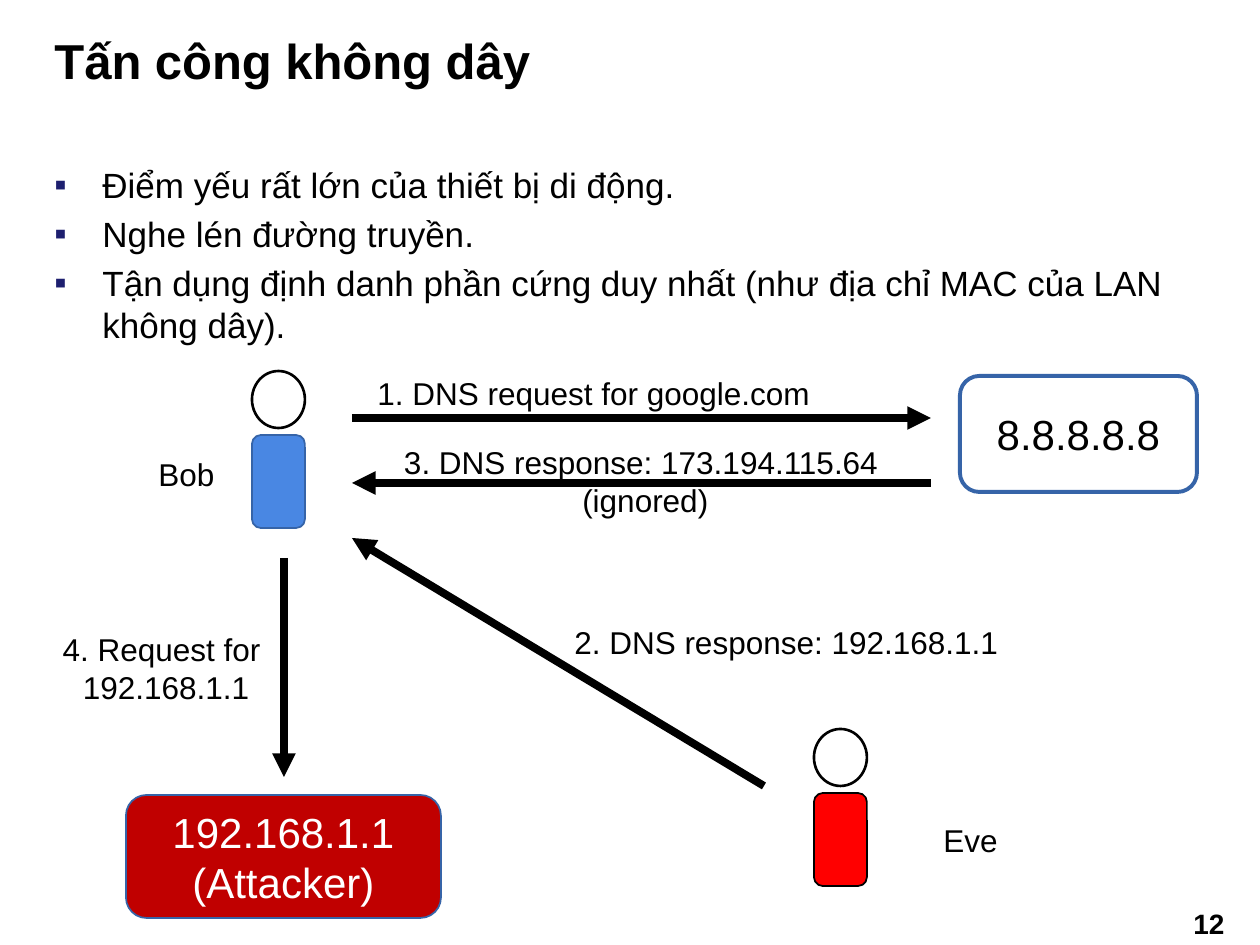
from lxml.etree import SubElement
from pptx import Presentation
from pptx.dml.color import RGBColor
from pptx.enum.shapes import MSO_CONNECTOR, MSO_SHAPE
from pptx.enum.text import MSO_ANCHOR, PP_ALIGN
from pptx.oxml.ns import qn
from pptx.util import Pt

PX = 914400 // 126
FONT = "Arial"
BLACK, WHITE, BORDER = "000000", "FFFFFF", "3664A8"


def px(*lengths):
    return [length * PX for length in lengths]


def color(value):
    return RGBColor.from_string(value)


def style_paragraph(paragraph, size, text_color=BLACK, bold=False, align=None):
    paragraph.alignment = align
    for run in paragraph.runs:
        run.font.name = FONT
        run.font.size = Pt(size)
        run.font.bold = bold
        run.font.color.rgb = color(text_color)


def add_text(slide, box, text, size, bold=False, align=PP_ALIGN.LEFT,
             anchor=MSO_ANCHOR.TOP, wrap=True):
    frame = slide.shapes.add_textbox(*px(*box)).text_frame
    frame.word_wrap = wrap
    frame.vertical_anchor = anchor
    paragraph = frame.paragraphs[0]
    paragraph.text = text
    style_paragraph(paragraph, size, bold=bold, align=align)


def add_label(slide, box, text, align=PP_ALIGN.LEFT):
    add_text(slide, box, text, 18, align=align, wrap=False)


def add_block(shapes, kind, box, fill, line, width):
    shape = shapes.add_shape(kind, *px(*box))
    shape.shadow.inherit = False
    shape.fill.solid()
    shape.fill.fore_color.rgb = color(fill)
    shape.line.color.rgb = color(line)
    shape.line.width = Pt(width)
    return shape


def add_host(slide, box, text, fill, text_color, line_width):
    shape = add_block(slide.shapes, MSO_SHAPE.ROUNDED_RECTANGLE, box,
                      fill, BORDER, line_width)
    frame = shape.text_frame
    frame.word_wrap = True
    frame.vertical_anchor = MSO_ANCHOR.MIDDLE
    frame.paragraphs[0].text = text
    style_paragraph(frame.paragraphs[0], 24, text_color, align=PP_ALIGN.CENTER)


def add_person(slide, left, top, body_fill, body_line):
    group = slide.shapes.add_group_shape()
    add_block(group.shapes, MSO_SHAPE.ROUNDED_RECTANGLE,
              (left, top + 64, 53, 93), body_fill, body_line, 1)
    add_block(group.shapes, MSO_SHAPE.OVAL,
              (left, top, 53, 57), WHITE, BLACK, 1.5)


def add_arrow(slide, start, end):
    connector = slide.shapes.add_connector(MSO_CONNECTOR.STRAIGHT,
                                           *px(*start, *end))
    connector.line.color.rgb = color(BLACK)
    connector.line.width = Pt(4.5)
    properties = connector._element.spPr
    SubElement(properties.find(qn("a:ln")), qn("a:tailEnd"), type="triangle")
    SubElement(properties, qn("a:effectLst"))


def add_bullets(slide, box, items):
    frame = slide.shapes.add_textbox(*px(*box)).text_frame
    frame.word_wrap = True
    for index, item in enumerate(items):
        paragraph = frame.add_paragraph() if index else frame.paragraphs[0]
        paragraph.text = item
        if index:
            paragraph.space_before = Pt(4)
        properties = paragraph._p.get_or_add_pPr()
        indent = 48 * PX
        properties.set("marL", str(indent))
        properties.set("indent", str(-indent))
        bullet_color = SubElement(properties, qn("a:buClr"))
        SubElement(bullet_color, qn("a:srgbClr"), val="1D1F6F")
        SubElement(properties, qn("a:buFont"), typeface=FONT)
        SubElement(properties, qn("a:buChar"), char="▪")
        style_paragraph(paragraph, 20)


def add_spoofing_diagram(slide, left, top):
    def at(x, y, *size):
        return (left + x, top + y, *size)

    # People and hosts
    add_person(slide, *at(203, 3), "4987E3", BORDER)
    add_person(slide, *at(765, 361), "FF0000", BLACK)
    add_host(slide, at(911, 8, 237, 116), "8.8.8.8.8", WHITE, BLACK, 2.25)
    add_host(slide, at(77, 427, 315, 123), "192.168.1.1\n(Attacker)",
             "C00000", WHITE, 1)

    # Messages
    add_arrow(slide, at(303, 50), at(882, 50))
    add_arrow(slide, at(882, 115), at(303, 115))
    add_arrow(slide, at(715, 418), at(303, 170))
    add_arrow(slide, at(235, 190), at(235, 409))

    # Labels
    add_label(slide, at(316, 0, 462, 50), "1. DNS request for google.com")
    add_label(slide, at(340, 69, 504, 89),
              "3. DNS response: 173.194.115.64\n (ignored)", PP_ALIGN.CENTER)
    add_label(slide, at(513, 249, 454, 50), "2. DNS response: 192.168.1.1")
    add_label(slide, at(0, 256, 234, 89),
              "4. Request for \n192.168.1.1", PP_ALIGN.CENTER)
    add_label(slide, at(97, 81, 82, 50), "Bob")
    add_label(slide, at(882, 447, 81, 50), "Eve")


def main():
    presentation = Presentation()
    presentation.slide_width, presentation.slide_height = px(1260, 945)
    slide = presentation.slides.add_slide(presentation.slide_layouts[6])

    # Title and page number
    add_text(slide, (42, 21, 1081, 78), "Tấn công không dây", 28, bold=True,
             anchor=MSO_ANCHOR.MIDDLE)
    add_text(slide, (1166, 900, 86, 38), "12", 16, bold=True,
             align=PP_ALIGN.CENTER)

    # Body
    add_bullets(slide, (42, 157, 1166, 210), [
        "Điểm yếu rất lớn của thiết bị di động.",
        "Nghe lén đường truyền.",
        "Tận dụng định danh phần cứng duy nhất "
        "(như địa chỉ MAC của LAN không dây).",
    ])
    add_spoofing_diagram(slide, 49, 368)

    presentation.save("out.pptx")


if __name__ == "__main__":
    main()
